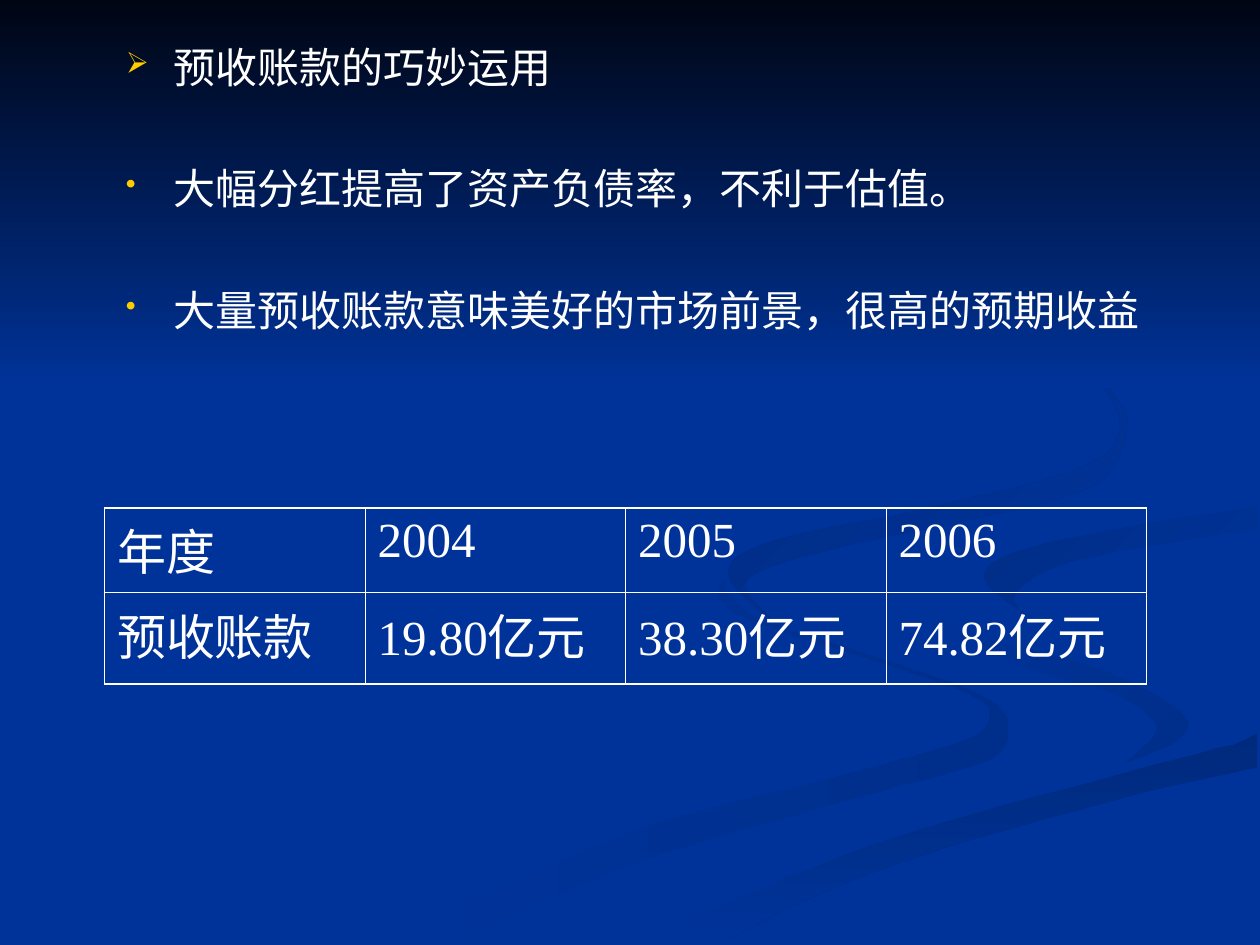
from itertools import pairwise
from lxml.etree import SubElement
from pptx import Presentation
from pptx.dml.color import RGBColor
from pptx.oxml.ns import qn
from pptx.util import Emu, Pt

# Grid: 1000 columns by 750 rows over a 10 by 7.5 inch slide
COLS, ROWS, CELL = 1000, 750, 9144
STEPS = 6  # points drawn between two knots of a curve
FONT = "Times New Roman"
GAP = 40.5  # space between bullet points
THIN, THICK = Pt(0.45), Pt(1.08)

WHITE = RGBColor(0xFF, 0xFF, 0xFF)
GOLD = RGBColor(0xFF, 0xCC, 0x00)
BLUE = RGBColor(0x00, 0x33, 0x99)
NIGHT = RGBColor(0x00, 0x05, 0x14)
DUSK = RGBColor(0x00, 0x2E, 0x8B)
DEEP = RGBColor(0x00, 0x2A, 0x7D)
SHADE = RGBColor(0x00, 0x2D, 0x86)
TINT = RGBColor(0x00, 0x2B, 0x82)

# A ribbon lies between two curves, each given by a few knots in grid cells:
# outer edge, inner edge, first colour, last colour, clockwise angle
RIBBONS = {
    "left bend": (
        [(575, 459), (583, 477), (614, 496), (715, 528), (786, 556),
         (800, 581), (780, 605), (676, 634), (499, 687), (361, 749)],
        [(575, 459), (570, 472), (593, 491), (697, 525), (770, 551),
         (785, 566), (767, 587), (652, 620), (499, 661), (300, 749)],
        BLUE, DUSK, 0),
    "right bend": (
        [(724, 464), (733, 483), (792, 509), (870, 530), (930, 553),
         (943, 572), (932, 589), (894, 605)],
        [(724, 464), (739, 494), (815, 530), (880, 549), (911, 567),
         (917, 582), (894, 605)],
        BLUE, DUSK, 45),
    "low band": (
        [(503, 749), (630, 693), (764, 647), (903, 610), (998, 581)],
        [(571, 749), (649, 710), (752, 672), (903, 630), (998, 609)],
        DEEP, BLUE, 90),
    "river": (
        [(999, 387), (874, 408), (770, 427), (725, 464), (759, 498),
         (871, 530), (942, 570), (911, 600), (743, 643), (573, 703), (477, 749)],
        [(999, 402), (899, 418), (800, 442), (784, 469), (848, 503),
         (999, 538), (999, 581), (904, 610), (696, 669), (503, 749)],
        BLUE, BLUE, 0),
    "hook": (
        [(998, 402), (898, 418), (810, 437), (781, 460), (826, 496)],
        [(998, 420), (936, 429), (843, 448), (805, 474), (826, 496)],
        SHADE, BLUE, 45),
    "curl": (
        [(762, 233), (843, 275), (880, 307), (894, 344), (855, 391),
         (683, 430), (606, 452), (593, 470), (622, 500)],
        [(762, 233), (805, 254), (862, 292), (889, 335), (861, 370),
         (733, 404), (615, 429), (578, 456), (622, 500)],
        TINT, BLUE, 45),
}
POINTS = [
    ("➢", "预收账款的巧妙运用"),
    ("•", "大幅分红提高了资产负债率，不利于估值。"),
    ("•", "大量预收账款意味美好的市场前景，很高的预期收益"),
]
DATA = [
    ["年度", "2004", "2005", "2006"],
    ["预收账款", "19.80亿元", "38.30亿元", "74.82亿元"],
]


def grid(*cells):
    return [Emu(cell * CELL) for cell in cells]


def blend(a, b, c, d, t):
    """Catmull-Rom value at share t of the way from b to c."""
    return b + t / 2 * (c - a + t * (2 * a - 5 * b + 4 * c - d
                                     + t * (3 * (b - c) + d - a)))


def curve(knots):
    """Smooth line through all knots, kept within the slide."""
    ends = [knots[0], *knots, knots[-1]]
    line = []
    for four in zip(ends, ends[1:], ends[2:], ends[3:]):
        for step in range(STEPS):
            x, y = (blend(*axis, step / STEPS) for axis in zip(*four))
            line.append((min(x, COLS), min(y, ROWS)))
    return line + [knots[-1]]


def paint(fill, first, last, angle):
    if first == last:
        fill.solid()
        fill.fore_color.rgb = first
        return
    fill.gradient()
    fill.gradient_angle = (360 - angle) % 360
    for stop, color in zip(fill.gradient_stops, (first, last)):
        stop.color.rgb = color


def area(slide, spots, first, last, angle):
    pen = slide.shapes.build_freeform(*spots[0], scale=CELL)
    # Skip a spot that repeats the one before it
    pen.add_line_segments([b for a, b in pairwise(spots) if a != b], close=True)
    shape = pen.convert_to_shape()
    shape.shadow.inherit = False
    shape.line.fill.background()
    paint(shape.fill, first, last, angle)


def scene(slide):
    paint(slide.background.fill, BLUE, BLUE, 0)
    for outer, inner, *look in RIBBONS.values():
        area(slide, curve(outer) + curve(inner)[::-1], *look)
    # Night sky fading down into the blue
    area(slide, [(0, 0), (0, 308), (COLS, 308), (COLS, 0)], NIGHT, BLUE, 90)


def write(para, text, size=24, color=WHITE, before=0):
    para.space_before = Pt(before)
    run = para.add_run()
    run.text = text
    run.font.name, run.font.size = FONT, Pt(size)
    run.font.color.rgb = color


def mark(para, sign):
    """Hang a gold bullet in front of the paragraph."""
    props = para._p.get_or_add_pPr()
    dent = 38 * CELL
    props.set("marL", str(dent))
    props.set("indent", str(-dent))
    tint = SubElement(props, qn("a:buClr"))
    SubElement(tint, qn("a:srgbClr"), val=str(GOLD))
    SubElement(props, qn("a:buSzPct"), val="70000")
    SubElement(props, qn("a:buChar"), char=sign)


def bullets(slide):
    frame = slide.shapes.add_textbox(*grid(90, 28, 851, 271)).text_frame
    frame.word_wrap = True
    for i, (sign, text) in enumerate(POINTS):
        para = frame.add_paragraph() if i else frame.paragraphs[0]
        write(para, text, before=GAP if i else 6)
        mark(para, sign)


def border(cell, sides):
    """Draw white lines, thick on the table's outer sides."""
    props = cell._tc.get_or_add_tcPr()
    for side, outer in sides.items():
        width = THICK if outer else THIN
        line = SubElement(props, qn(f"a:ln{side}"), w=str(width))
        fill = SubElement(line, qn("a:solidFill"))
        SubElement(fill, qn("a:srgbClr"), val=str(WHITE))


def table(slide):
    high, wide = len(DATA), len(DATA[0])
    tab = slide.shapes.add_table(high, wide, *grid(83, 403, 827, 140)).table
    tab.first_row = tab.horz_banding = False
    for row, tall in zip(tab.rows, grid(67, 73)):
        row.height = tall
    for r, line in enumerate(DATA):
        for c, text in enumerate(line):
            cell = tab.cell(r, c)
            write(cell.text_frame.paragraphs[0], text, size=28, before=7)
            border(cell, {"L": c == 0, "R": c == wide - 1,
                          "T": r == 0, "B": r == high - 1})
            cell.fill.background()


def main():
    deck = Presentation()
    deck.slide_width, deck.slide_height = grid(COLS, ROWS)
    slide = deck.slides.add_slide(deck.slide_layouts[6])
    scene(slide)
    bullets(slide)
    table(slide)
    deck.save("out.pptx")


if __name__ == "__main__":
    main()
